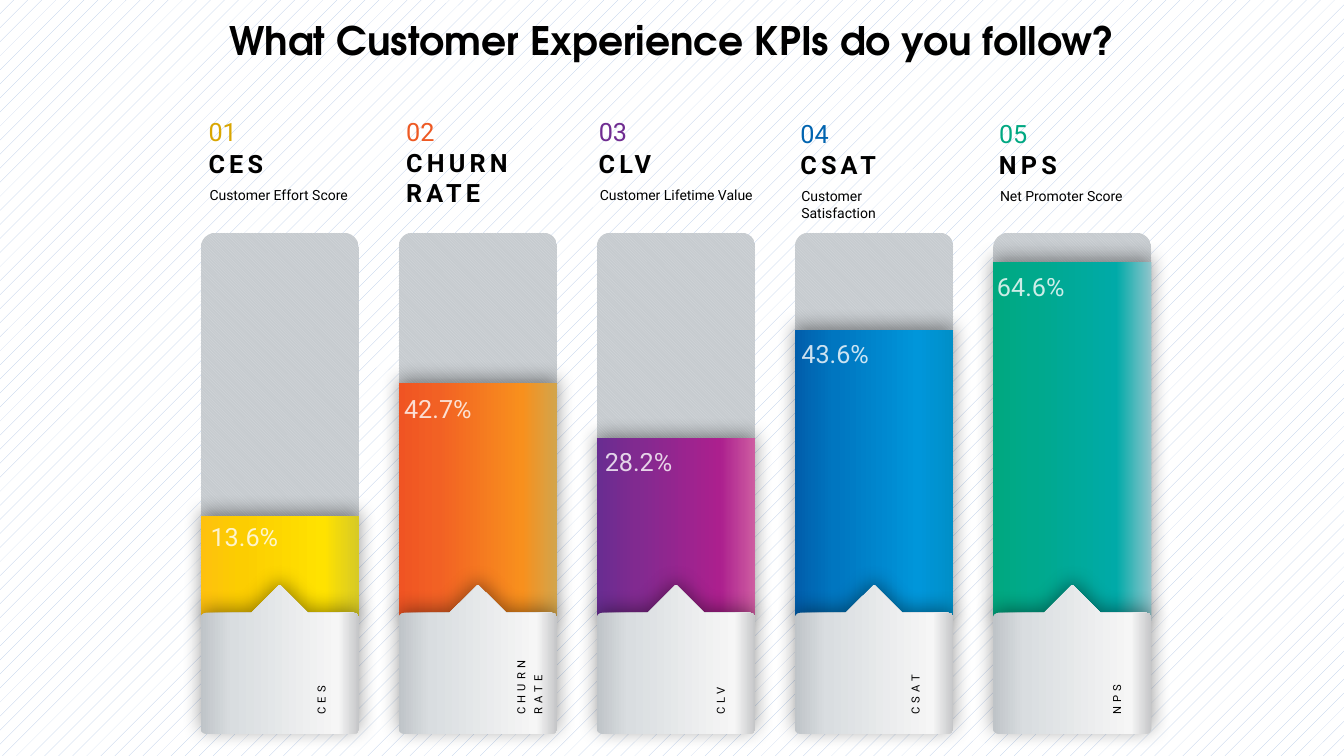
from lxml import etree
from pptx import Presentation
from pptx.dml.color import RGBColor
from pptx.enum.dml import MSO_PATTERN
from pptx.enum.shapes import MSO_SHAPE
from pptx.enum.text import MSO_AUTO_SIZE, PP_ALIGN
from pptx.oxml.ns import qn
from pptx.util import Inches, Pt

ROUNDED, RECT = MSO_SHAPE.ROUNDED_RECTANGLE, MSO_SHAPE.RECTANGLE
DOTS, DIAGONAL = MSO_PATTERN.PERCENT_5, MSO_PATTERN.DARK_DOWNWARD_DIAGONAL
GROW, CENTER = MSO_AUTO_SIZE.SHAPE_TO_FIT_TEXT, PP_ALIGN.CENTER

TITLE = "What Customer Experience KPIs do you follow?"
COLORS = {
    "black": "000000", "white": "FFFFFF", "dots": "B4C7E7",
    "track_line": "D8DBDE", "track": "C6CBCF",
}
BAR_STOPS = (0, 25, 78, 100)
BASE_STOPS = (0, 20, 87, 100)
BASE_GRADIENT = ("BFC4C8", "D9DDE0", "F6F6F6", "C5C6C8")
KPIS = [
    {"name": "CES", "about": "Customer Effort Score", "value": "13.6%",
     "color": "D9A601", "gradient": ("FEC10E", "FCCD01", "FFE200", "D7CA26"),
     "bar_top": 5.12, "value_at": (1.99, 5.12), "head_at": (1.97, 1.11),
     "name_width": 1.27, "about_width": 1.66, "side": [("CES", 2.63)], "round": 0.095},
    {"name": "CHURN RATE", "about": "", "value": "42.7%",
     "color": "EE5923", "gradient": ("F05423", "F26124", "F8901D", "D2A54C"),
     "bar_top": 3.8, "value_at": (3.91, 3.85), "head_at": (3.93, 1.1),
     "name_width": 1.46, "about_width": 0,
     "side": [("CHURN", 4.61), ("RATE", 4.78)], "round": 0.084},
    {"name": "CLV", "about": "Customer Lifetime Value", "value": "28.2%",
     "color": "6F2C91", "gradient": ("682D91", "812A90", "AC208E", "CE5DA1"),
     "bar_top": 4.35, "value_at": (5.9, 4.38), "head_at": (5.84, 1.11),
     "name_width": 1.27, "about_width": 1.78, "side": [("CLV", 6.59)], "round": 0.084},
    {"name": "CSAT", "about": "Customer Satisfaction", "value": "43.6%",
     "color": "0164B0", "gradient": ("015EAB", "0076C0", "0096DA", "008FC8"),
     "bar_top": 3.27, "value_at": (7.85, 3.31), "head_at": (7.84, 1.12),
     "name_width": 1.27, "about_width": 1.56, "side": [("CSAT", 8.52)], "round": 0.084},
    {"name": "NPS", "about": "Net Promoter Score", "value": "64.6%",
     "color": "00A882", "gradient": ("00A87F", "00A98C", "00AAA8", "90C5CC"),
     "bar_top": 2.6, "value_at": (9.79, 2.64), "head_at": (9.81, 1.12),
     "name_width": 1.27, "about_width": 1.44, "side": [("NPS", 10.52)], "round": 0.095},
]
LEFT, PITCH, WIDTH = 1.99, 1.965, 1.57
TRACK_TOP, TRACK_HEIGHT, BAR_BOTTOM = 2.31, 3.77, 6.16
BASE_TIP, BASE_TOP, BASE_BOTTOM = 5.8, 6.08, 7.28
TIP_HALF, CORNER_W, CORNER_H = 0.28, 0.07, 0.05


def add_color(parent, color, alpha):
    clr = etree.SubElement(parent, qn("a:srgbClr"), val=color)
    if alpha < 100:
        etree.SubElement(clr, qn("a:alpha"), val=str(alpha * 1000))


def set_pattern(fill, pattern, fore, back):
    fill.patterned()
    fill.pattern = pattern
    fill.fore_color.rgb = RGBColor.from_string(COLORS[fore])
    fill.back_color.rgb = RGBColor.from_string(COLORS[back])


def set_gradient(sp, stops, colors):
    sp.fill.gradient()
    sp.fill.gradient_angle = 0
    gs_list = sp._element.spPr.find(".//" + qn("a:gsLst"))
    for gs in list(gs_list):
        gs_list.remove(gs)
    for stop, color in zip(stops, colors):
        add_color(etree.SubElement(gs_list, qn("a:gs"), pos=str(stop * 1000)), color, 100)


def clear_style(sp):
    sp.line.fill.background()
    sp.shadow.inherit = False


def add_glow(sp, blur):
    effects = sp._element.spPr.find(qn("a:effectLst"))
    shadow = etree.SubElement(
        effects, qn("a:outerShdw"), blurRad=str(Pt(blur)), dist=str(Pt(3)),
        dir="16200000", algn="b", rotWithShape="0")
    add_color(shadow, COLORS["black"], 40)


def add_box(s, shape, left, top, height):
    sp = s.shapes.add_shape(shape, Inches(left), Inches(top), Inches(WIDTH), Inches(height))
    clear_style(sp)
    return sp


def corner(start, control, end, steps=6):
    """Return points along a rounded corner."""
    return [
        tuple((1 - t) ** 2 * a + 2 * t * (1 - t) * b + t * t * c
              for a, b, c in zip(start, control, end))
        for t in (k / steps for k in range(steps + 1))]


def add_base(s, left):
    right, mid = left + WIDTH, left + WIDTH / 2
    points = [(mid, BASE_TIP), (mid + TIP_HALF, BASE_TOP)]
    for x, y, dx, dy, flat_first in (
            (right, BASE_TOP, -CORNER_W, CORNER_H, True),
            (right, BASE_BOTTOM, -CORNER_W, -CORNER_H, False),
            (left, BASE_BOTTOM, CORNER_W, -CORNER_H, True),
            (left, BASE_TOP, CORNER_W, CORNER_H, False)):
        ends = [(x + dx, y), (x, y + dy)]
        start, end = ends if flat_first else ends[::-1]
        points += corner(start, (x, y), end)
    points.append((mid - TIP_HALF, BASE_TOP))
    emu = [(Inches(x), Inches(y)) for x, y in points]
    builder = s.shapes.build_freeform(*emu[0])
    builder.add_line_segments(emu[1:], close=True)
    sp = builder.convert_to_shape()
    clear_style(sp)
    set_gradient(sp, BASE_STOPS, BASE_GRADIENT)
    add_glow(sp, 14)


def add_text(s, text, left, top, width, height, size, color=COLORS["black"], bold=False,
             font="Roboto", spacing=0, alpha=100, rotation=0, align=None):
    sp = s.shapes.add_textbox(Inches(left), Inches(top), Inches(width), Inches(height))
    sp.rotation = rotation
    tf = sp.text_frame
    tf.word_wrap = True
    tf.auto_size = GROW
    p = tf.paragraphs[0]
    p.alignment = align
    r = p.add_run()
    r.text = text
    r.font.name, r.font.size, r.font.bold = font, Pt(size), bold
    r.font.color.rgb = RGBColor.from_string(color)
    props = r.font._element
    if spacing:
        props.set("spc", str(spacing * 100))
    if alpha < 100:
        fill = props.find(qn("a:solidFill"))
        fill.remove(fill[0])
        add_color(fill, color, alpha)


def main():
    prs = Presentation()
    prs.slide_width, prs.slide_height = Inches(13.33), Inches(7.5)
    s = prs.slides.add_slide(prs.slide_layouts[6])
    set_pattern(s.background.fill, DOTS, "dots", "white")
    lefts = [LEFT + i * PITCH for i in range(len(KPIS))]

    for kpi, left in zip(KPIS, lefts):
        track = add_box(s, ROUNDED, left, TRACK_TOP, TRACK_HEIGHT)
        track.adjustments[0] = kpi["round"]
        set_pattern(track.fill, DIAGONAL, "track_line", "track")
    for kpi, left in zip(KPIS, lefts):
        bar = add_box(s, RECT, left, kpi["bar_top"], BAR_BOTTOM - kpi["bar_top"])
        set_gradient(bar, BAR_STOPS, kpi["gradient"])
        add_glow(bar, 13)
    for left in lefts:
        add_base(s, left)

    for kpi in KPIS:
        for word, x in kpi["side"]:
            add_text(s, word, x, 6.46, 1.17, 0.29, 8, spacing=3, rotation=270)
        add_text(s, kpi["value"], *kpi["value_at"], 1.37, 0.41, 18, COLORS["white"], alpha=80)
    for number, kpi in enumerate(KPIS, 1):
        x, y = kpi["head_at"]
        add_text(s, f"{number:02}", x, y, 1.45, 0.4, 18, kpi["color"])
        name_height = 0.71 if " " in kpi["name"] else 0.4
        add_text(s, kpi["name"], x, y + 0.31, kpi["name_width"], name_height, 18,
                 bold=True, spacing=3)
        if kpi["about"]:
            add_text(s, kpi["about"], x + 0.01, y + 0.69, kpi["about_width"], 0.27, 10)
    add_text(s, TITLE, 0, 0.11, 13.33, 0.57, 28, bold=True, font="TeX Gyre Adventor",
             align=CENTER)
    prs.save("out.pptx")


if __name__ == "__main__":
    main()
